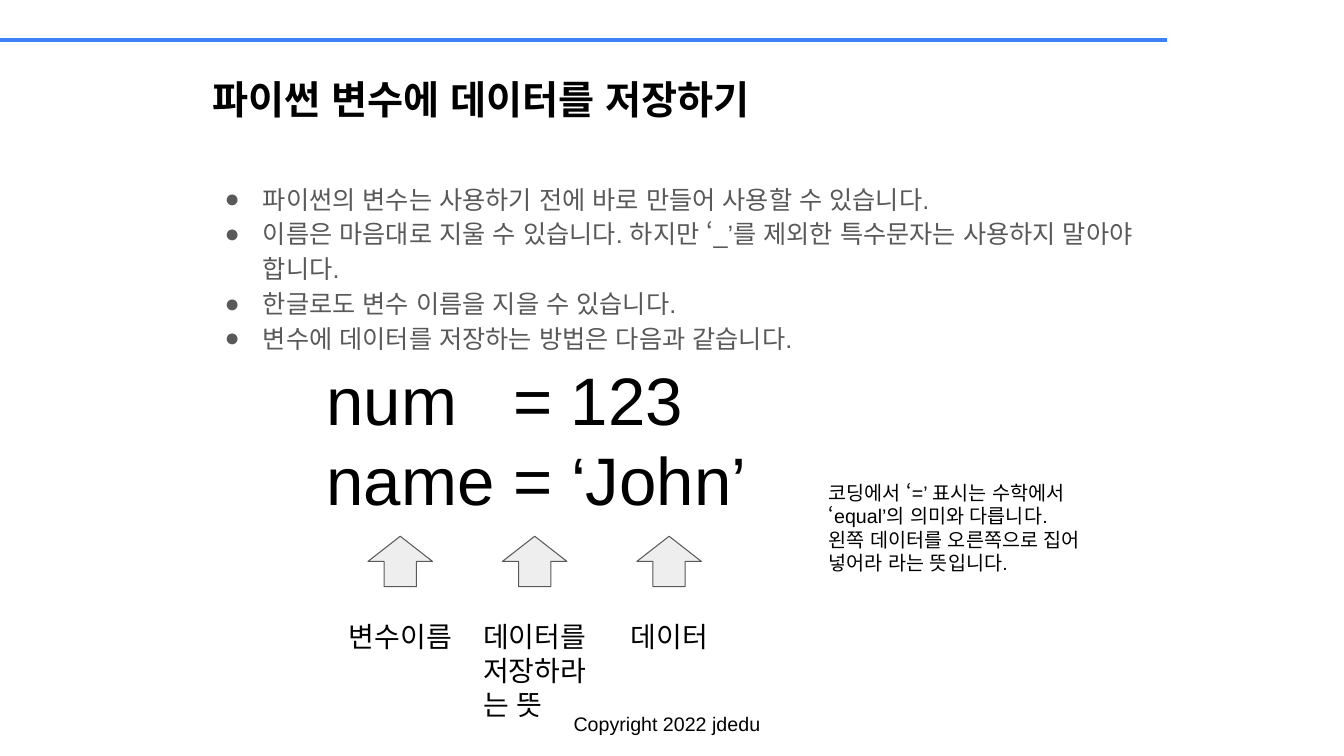
from dataclasses import dataclass

from lxml.etree import SubElement
from pptx import Presentation
from pptx.dml.color import RGBColor
from pptx.enum.lang import MSO_LANGUAGE_ID
from pptx.enum.shapes import MSO_CONNECTOR, MSO_SHAPE
from pptx.oxml.ns import qn
from pptx.util import Inches, Pt


@dataclass(frozen=True)
class Theme:
    face: str = "Arial"
    ink: str = "000000"
    muted: str = "595959"
    accent: str = "3C81F3"
    arrow: str = "EEEEEE"
    title: int = 28
    body: int = 18
    code: int = 48
    label: int = 20
    small: int = 14


THEME = Theme()
CELLS_PER_INCH = 6  # the slide is a grid of 80 columns by 45 rows
STEP = 8  # columns from one labelled arrow to the next

BULLETS = [
    "파이썬의 변수는 사용하기 전에 바로 만들어 사용할 수 있습니다.",
    "이름은 마음대로 지울 수 있습니다. 하지만 ‘_’를 제외한 특수문자는 사용하지 말아야 합니다.",
    "한글로도 변수 이름을 지을 수 있습니다.",
    "변수에 데이터를 저장하는 방법은 다음과 같습니다.",
]
CODE = ["num   = 123", "name = ‘John’"]
# text, rows high, indent in columns
PARTS = [
    ("변수이름", 3.24, 0),
    ("데이터를 저장하라는 뜻", 7.26, 0),
    ("데이터", 3.24, 0.8),
]
NOTE = [
    "코딩에서 ‘=’ 표시는 수학에서 ‘equal’의 의미와 다릅니다.",
    "왼쪽 데이터를 오른쪽으로 집어 넣어라 라는 뜻입니다.",
]


def cells(*counts):
    return [Inches(count / CELLS_PER_INCH) for count in counts]


def rgb(color):
    return RGBColor.from_string(color)


def apply(target, formats):
    for name, value in formats.items():
        setattr(target, name, value)


def indent(paragraph, left, hanging=0):
    properties = paragraph._p.get_or_add_pPr()
    properties.set("marL", str(left))
    properties.set("indent", str(-hanging))
    return properties


def add_bullet(paragraph):
    properties = indent(paragraph, Inches(0.5), Inches(0.38))
    color = SubElement(properties, qn("a:buClr"))
    SubElement(color, qn("a:srgbClr"), val=THEME.muted)
    SubElement(properties, qn("a:buFont"), typeface=THEME.face)
    SubElement(properties, qn("a:buChar"), char="●")
    paragraph.line_spacing = 1.15


def add_text(slide, place, lines, size, color=THEME.ink, bold=False,
             wrap=True, inset=0.1, bulleted=False, left=0):
    """Add a text box at a grid place, one paragraph for each line."""
    frame = slide.shapes.add_textbox(*cells(*place)).text_frame
    apply(frame, {"word_wrap": wrap, "margin_top": Inches(inset),
                  "margin_bottom": Inches(inset)})
    for number, line in enumerate(lines):
        paragraph = frame.add_paragraph() if number else frame.paragraphs[0]
        if bulleted:
            add_bullet(paragraph)
        elif left:
            indent(paragraph, *cells(left))
        run = paragraph.add_run()
        run.text = line
        apply(run.font, {"name": THEME.face, "size": Pt(size), "bold": bold,
                         "language_id": MSO_LANGUAGE_ID.KOREAN})
        run.font.color.rgb = rgb(color)


def add_rule(slide, start, end):
    rule = slide.shapes.add_connector(
        MSO_CONNECTOR.STRAIGHT, *cells(*start, *end))
    rule.line.color.rgb = rgb(THEME.accent)
    rule.line.width = Pt(3)
    SubElement(rule._element.spPr, qn("a:effectLst"))


def add_up_arrow(slide, place):
    arrow = slide.shapes.add_shape(MSO_SHAPE.UP_ARROW, *cells(*place))
    arrow.shadow.inherit = False
    arrow.fill.solid()
    arrow.fill.fore_color.rgb = rgb(THEME.arrow)
    arrow.line.color.rgb = rgb(THEME.muted)
    arrow.line.width = Pt(0.75)


def main():
    deck = Presentation()
    apply(deck, {"slide_width": Inches(13.33), "slide_height": Inches(7.5)})
    slide = deck.slides.add_slide(deck.slide_layouts[6])

    add_rule(slide, (0, 2.4), (69.42, 2.4))
    add_text(slide, (33.54, 42.06, 12.9, 2.04), ["Copyright 2022 jdedu"],
             THEME.small, wrap=False, inset=0.05)
    add_text(slide, (12.06, 3.9, 55.92, 4.98),
             ["파이썬 변수에 데이터를 저장하기"], THEME.title, bold=True)
    add_text(slide, (12.06, 10.08, 55.92, 14.34), BULLETS,
             THEME.body, THEME.muted, bulleted=True)
    add_text(slide, (18.84, 20.7, 43.5, 10.92), CODE, THEME.code)
    for number, (meaning, height, left) in enumerate(PARTS):
        shift = number * STEP
        add_up_arrow(slide, (21.9 + shift, 31.92, 3.84, 3))
        add_text(slide, (20.16 + shift, 36.3, 8.04, height), [meaning],
                 THEME.label, left=left)
    add_text(slide, (48.72, 28, 16.68, 6.84), NOTE, THEME.small)

    deck.save("out.pptx")


if __name__ == "__main__":
    main()
